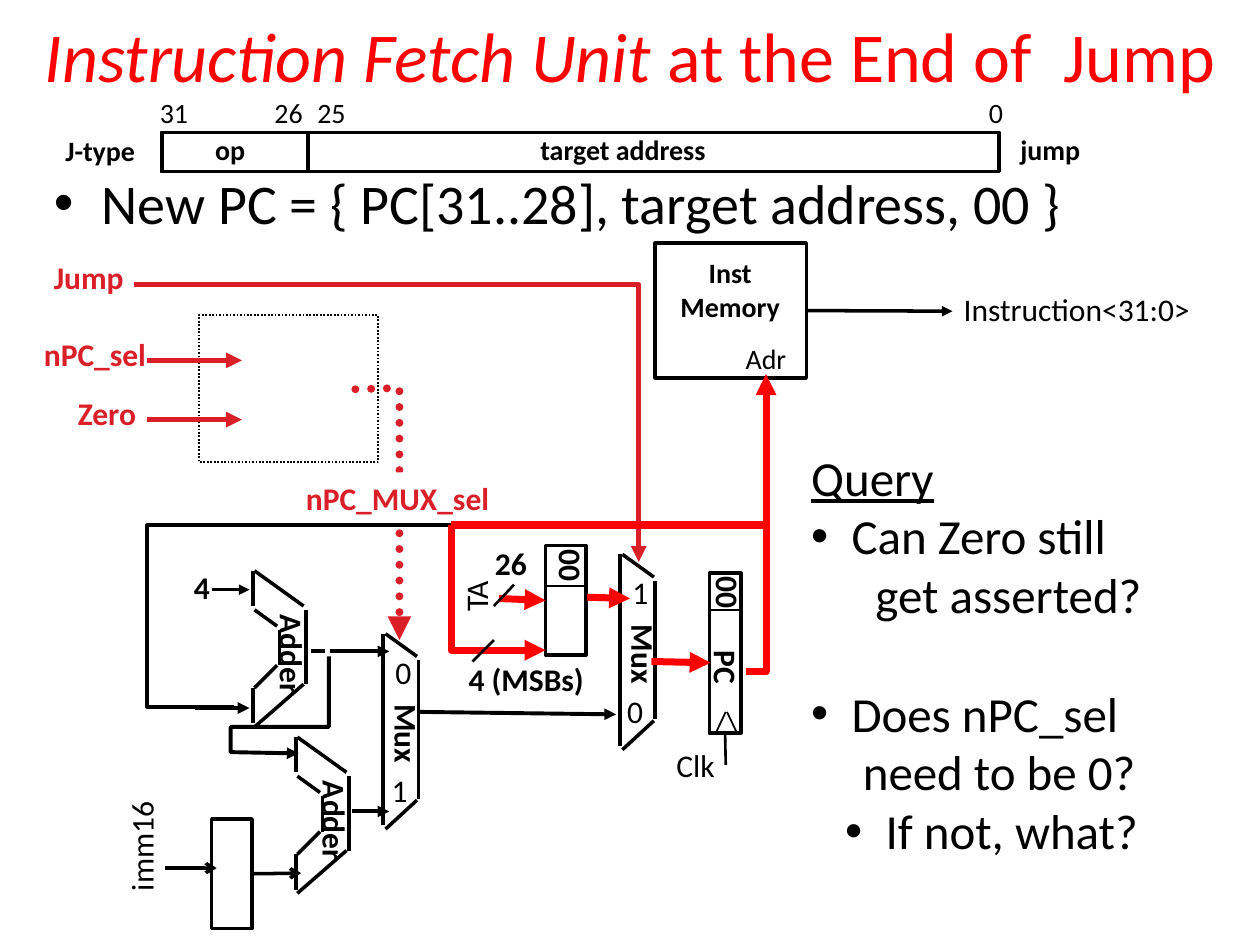
"""Build the slide on the instruction fetch unit at the end of a jump."""
import dataclasses

import lxml.etree
import pptx
import pptx.dml.color
import pptx.enum.dml
import pptx.enum.shapes
import pptx.enum.text
import pptx.oxml.ns
import pptx.util

Inches = pptx.util.Inches
Pt = pptx.util.Pt
RGB = pptx.dml.color.RGBColor
qn = pptx.oxml.ns.qn
DASH = pptx.enum.dml.MSO_LINE.ROUND_DOT
ALIGN = pptx.enum.text.PP_ALIGN
RECTANGLE = pptx.enum.shapes.MSO_SHAPE.RECTANGLE


@dataclasses.dataclass(frozen=True)
class Theme:
    font: str = "Calibri"
    black: RGB = RGB(0, 0, 0)
    white: RGB = RGB(255, 255, 255)
    red: RGB = RGB(255, 0, 0)
    control: RGB = RGB(0xDA, 0x1F, 0x28)
    title: int = 40
    body: int = 32
    query: int = 28
    label: int = 18
    field: int = 16


theme = Theme()
presentation = pptx.Presentation()
presentation.slide_width = Inches(10)
presentation.slide_height = Inches(7.5)
slide = presentation.slides.add_slide(presentation.slide_layouts[6])


def write(paragraph, text, size=theme.label, color=theme.black, bold=False, italic=False,
          underline=False, align=ALIGN.LEFT, margin=0, hanging=0, bullet=False, before=0):
    run = paragraph.add_run()
    run.text = text
    font = run.font
    font.name, font.size, font.bold, font.italic = theme.font, Pt(size), bold, italic
    font.underline = underline
    font.color.rgb = color
    paragraph.alignment = align
    paragraph.space_before = Pt(before)
    properties = paragraph._p.get_or_add_pPr()
    properties.set("marL", str(Inches(margin)))
    properties.set("indent", str(Inches(-hanging)))
    if bullet:
        lxml.etree.SubElement(properties, qn("a:buFont"), typeface="Arial")
        lxml.etree.SubElement(properties, qn("a:buChar"), char="•")


def add_wire(points, width=2, color=theme.black, arrow=None, dash=None):
    corners = [(Inches(x), Inches(y)) for x, y in points]
    if len(corners) == 2:
        wire = slide.shapes.add_connector(
            pptx.enum.shapes.MSO_CONNECTOR.STRAIGHT, *corners[0], *corners[1])
        lxml.etree.SubElement(wire._element.spPr, qn("a:effectLst"))
    else:
        builder = slide.shapes.build_freeform(*corners[0])
        builder.add_line_segments(corners[1:], close=False)
        wire = builder.convert_to_shape()
        wire.fill.background()
        wire.shadow.inherit = False
    wire.line.width = Pt(width)
    wire.line.color.rgb = color
    outline = wire.line._get_or_add_ln()
    if dash:
        wire.line.dash_style = dash
        outline.set("cap", "rnd")
    lxml.etree.SubElement(outline, qn("a:round"))
    if arrow:
        lxml.etree.SubElement(outline, qn("a:tailEnd"), type=arrow)
    return wire


rectangles = {}
for key, left, top, width, height, line_width in [
    ("memory", 5.2, 1.93, 1.2, 1.07, 2),
    ("pc", 5.63, 4.55, 0.25, 1.27, 2),
    ("pc zeros", 5.64, 4.55, 0.24, 0.29, 1),
    ("extender", 1.68, 6.5, 0.32, 0.87, 2),
    ("select logic", 1.58, 2.5, 1.42, 1.17, 1),
    ("instruction", 1.29, 1.05, 6.64, 0.31, 2),
    ("op", 1.28, 1.05, 1.16, 0.32, 1),
    ("target address", 2.45, 1.05, 5.48, 0.32, 1),
    ("jump address", 4.33, 4.33, 0.32, 0.87, 2),
    ("address zeros", 4.33, 4.33, 0.32, 0.32, 1),
]:
    shape = slide.shapes.add_shape(
        RECTANGLE, Inches(left), Inches(top), Inches(width), Inches(height))
    shape.shadow.inherit = False
    shape.fill.background()
    shape.line.color.rgb = theme.black
    shape.line.width = Pt(line_width)
    rectangles[key] = shape
rectangles["select logic"].line.dash_style = DASH

bold = dict(bold=True)
control = dict(bold=True, color=theme.control)
field = dict(size=theme.field)
bold_field = dict(size=theme.field, bold=True)
labels = [
    ("Adr", 5.82, 2.66, 0.53, 0.37, 0, field),
    ("Inst\nMemory", 5.29, 1.98, 1.01, 0.63, 0, dict(bold_field, align=ALIGN.CENTER)),
    ("PC", 5.53, 5.1, 0.47, 0.4, 90, bold),
    ("Clk", 5.27, 5.87, 0.51, 0.4, 0, {}),
    ("00", 5.52, 4.5, 0.45, 0.4, 270, bold),
    ("4", 1.44, 4.46, 0.33, 0.4, 0, bold),
    ("nPC_sel", 0.25, 2.61, 1.02, 0.4, 0, control),
    ("imm16", 0.66, 6.51, 0.92, 0.4, 270, {}),
    ("Instruction<31:0>", 7.55, 2.25, 2.01, 0.4, 0, {}),
    ("0", 3.04, 5.13, 0.33, 0.4, 0, {}),
    ("1", 3.01, 6.07, 0.33, 0.4, 0, {}),
    ("Zero", 0.52, 3.08, 0.67, 0.4, 0, control),
    ("nPC_MUX_sel", 2.33, 3.75, 1.67, 0.4, 0, control),
    ("op", 1.61, 1, 0.44, 0.37, 0, bold_field),
    ("target address", 4.19, 1, 1.55, 0.36, 0, bold_field),
    ("0", 7.75, 0.71, 0.31, 0.37, 0, field),
    ("26", 2.08, 0.71, 0.43, 0.37, 0, field),
    ("31", 1.17, 0.71, 0.43, 0.37, 0, field),
    ("J-type", 0.42, 1.01, 0.79, 0.36, 0, bold_field),
    ("jump", 8, 1, 0.7, 0.36, 0, bold_field),
    ("25", 2.42, 0.71, 0.43, 0.37, 0, field),
    ("1", 4.92, 4.5, 0.33, 0.4, 0, {}),
    ("0", 4.88, 5.44, 0.33, 0.4, 0, {}),
    ("Jump", 0.32, 2, 0.76, 0.4, 0, dict(control, align=ALIGN.RIGHT)),
    ("TA", 3.55, 4.53, 0.45, 0.4, 270, {}),
    ("4 (MSBs)", 3.62, 5.19, 1.12, 0.4, 0, bold),
    ("00", 4.27, 4.28, 0.46, 0.4, 270, bold),
    ("26", 3.83, 4.27, 0.46, 0.4, 0, bold),
]

adder_edges = [
    (0, 0, 0, 0.28), (0.01, 0, 0.4, 0.28), (0.01, 0.31, 0.19, 0.44), (0.21, 0.47, 0.21, 0.75),
    (0.42, 0.31, 0.42, 0.9), (0.01, 0.93, 0.19, 0.75), (0, 0.93, 0, 1.21), (0.01, 1.24, 0.4, 0.9),
]
mux_edges = [
    (0, 0, 0, 1.52), (0.02, 0, 0.27, 0.18), (0.02, 1.55, 0.27, 1.32), (0.28, 0.21, 0.28, 1.31),
]
for text, x, y, edges, dx, dy, width in [
    ("Adder", 2.01, 4.53, adder_edges, -0.11, 0.47, 0.84),
    ("Adder", 2.35, 5.85, adder_edges, -0.11, 0.47, 0.84),
    ("Mux", 3.04, 5.03, mux_edges, -0.16, 0.61, 0.7),
    ("Mux", 4.92, 4.4, mux_edges, -0.16, 0.61, 0.7),
]:
    for x1, y1, x2, y2 in edges:
        add_wire([(x + x1, y + y1), (x + x2, y + y2)])
    labels.append((text, x + dx, y + dy, width, 0.4, 90, bold))

add_wire([(2.82, 3.09), (3.17, 3.08), (3.17, 5.08)], 4.5, theme.control, "triangle", DASH)
for text, left, top, width, height, rotation, style in labels:
    box = slide.shapes.add_textbox(Inches(left), Inches(top), Inches(width), Inches(height))
    box.rotation = rotation
    box.text_frame.word_wrap = False
    if text == "nPC_MUX_sel":
        box.fill.solid()
        box.fill.fore_color.rgb = theme.white
    for index, line in enumerate(text.split("\n")):
        frame = box.text_frame
        write(frame.add_paragraph() if index else frame.paragraphs[0], line, **style)

for points, width, color, arrow in [
    ([(6.08, 4.17), (1.17, 4.17), (1.17, 5.61), (1.86, 5.61)], 2.25, theme.black, None),
    ([(2.61, 5.21), (2.61, 5.77), (1.83, 5.77), (1.83, 5.97), (2.37, 5.98)],
     2.25, theme.black, "triangle"),
    ([(1.55, 5.62), (1.98, 5.62)], 2.25, theme.black, "triangle"),
    ([(2.79, 6.44), (3.09, 6.44)], 2.25, theme.black, "triangle"),
    ([(1.68, 4.68), (1.98, 4.68)], 2, theme.black, "triangle"),
    ([(2.62, 5.17), (3.09, 5.17)], 2.25, theme.black, "triangle"),
    ([(2.47, 5.17), (2.58, 5.17)], 2.25, theme.black, None),
    ([(3.33, 5.65), (4.89, 5.67)], 2.25, theme.black, "triangle"),
    ([(1.31, 6.89), (1.72, 6.89)], 2, theme.black, "arrow"),
    ([(1.17, 3.33), (1.92, 3.33)], 3, theme.control, "triangle"),
    ([(1.17, 2.86), (1.92, 2.86)], 3, theme.control, "triangle"),
    ([(1.06, 2.26), (5.07, 2.26), (5.07, 4.46)], 3, theme.control, "triangle"),
    ([(5.92, 5.33), (6.08, 5.33), (6.08, 2.97)], 4, theme.red, "triangle"),
    ([(5.17, 5.25), (5.64, 5.26)], 4, theme.red, "triangle"),
    ([(4.66, 4.74), (5, 4.75)], 4, theme.red, "triangle"),
    ([(3.58, 4.17), (3.58, 5.16), (4.33, 5.16)], 4, theme.red, "triangle"),
    ([(3.58, 4.17), (6.08, 4.17)], 4.5, theme.red, None),
    ([(3.92, 5.08), (3.75, 5.25)], 1.5, theme.black, None),
    ([(5.68, 5.82), (5.76, 5.65)], 1, theme.black, None),
    ([(5.77, 5.65), (5.85, 5.82)], 1, theme.black, None),
]:
    add_wire(points, width, color, arrow)

add_wire([(6.4, 2.47), (7.56, 2.47)], arrow="triangle").begin_connect(rectangles["memory"], 3)
add_wire([(2, 6.93), (2.39, 6.93)], arrow="arrow").begin_connect(rectangles["extender"], 3)
add_wire([(5.76, 5.82), (5.76, 6.07)], 1.5).begin_connect(rectangles["pc"], 2)
address_wire = add_wire([(3.96, 4.75), (4.33, 4.76)], 4, theme.red, "triangle")
address_wire.end_connect(rectangles["jump address"], 1)
add_wire([(4.08, 4.64), (3.92, 4.81)], 1.5)

title = slide.shapes.add_textbox(0, Inches(0.17), Inches(10), Inches(0.52)).text_frame
title.word_wrap = True
title.vertical_anchor = pptx.enum.text.MSO_ANCHOR.MIDDLE
heading = dict(size=theme.title, color=theme.red, align=ALIGN.CENTER)
write(title.paragraphs[0], "Instruction Fetch Unit ", italic=True, **heading)
write(title.paragraphs[0], "at the End of  Jump", **heading)

body = slide.shapes.add_textbox(Inches(0.33), Inches(1.29), Inches(9.42), Inches(0.45)).text_frame
body.word_wrap = True
write(body.paragraphs[0], "New PC = { PC[31..28], target address, 00 }",
      size=theme.body, margin=0.38, hanging=0.38, bullet=True)

query = slide.shapes.add_textbox(Inches(6.34), Inches(3.5), Inches(3.5), Inches(3.37)).text_frame
query.word_wrap = True
write(query.paragraphs[0], "Query", size=theme.query, underline=True)
for text, style in [
    ("Can Zero still", dict(margin=0.32, hanging=0.32, bullet=True)),
    ("get asserted?", dict(margin=0.51)),
    ("Does nPC_sel", dict(margin=0.32, hanging=0.32, bullet=True, before=34)),
    ("need to be 0?", dict(margin=0.41)),
    ("If not, what?", dict(margin=0.59, hanging=0.32, bullet=True)),
]:
    write(query.add_paragraph(), text, size=theme.query, **style)

presentation.save("out.pptx")
